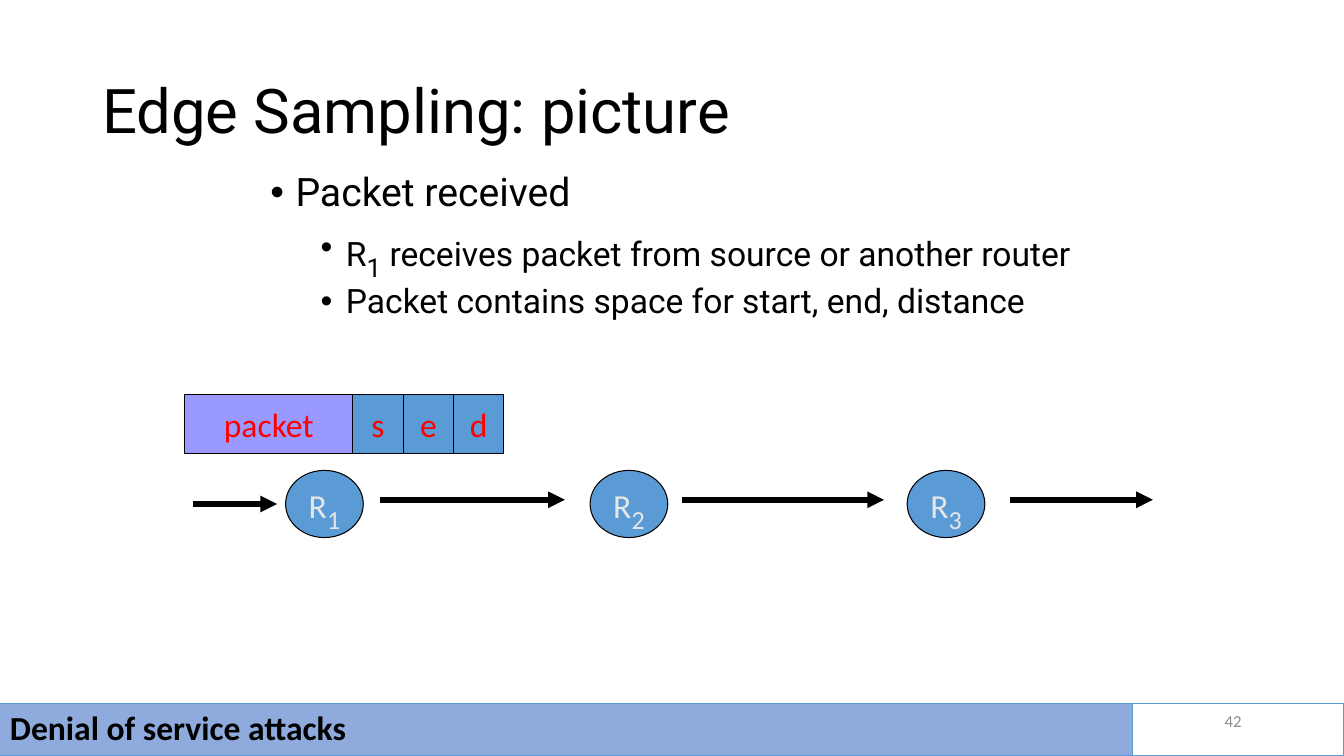
import pptx
import pptx.util
import pptx.dml.color
import pptx.enum.shapes
import pptx.enum.text
import pptx.oxml.ns
from lxml import etree

Pt = pptx.util.Pt
RGB = pptx.dml.color.RGBColor
SHAPE = pptx.enum.shapes.MSO_SHAPE
ALIGN = pptx.enum.text.PP_ALIGN
ANCHOR = pptx.enum.text.MSO_ANCHOR
qn = pptx.oxml.ns.qn

BLACK = RGB(0x00, 0x00, 0x00)
BLUE = RGB(0x5B, 0x9B, 0xD5)
LILAC = RGB(0x99, 0x99, 0xFF)
FOOTER_BLUE = RGB(0x8F, 0xAA, 0xDC)
RED = RGB(0xFF, 0x00, 0x00)
PALE = RGB(0xE7, 0xE6, 0xE6)
GREY = RGB(0x8C, 0x8C, 0x8C)

# Content: a paragraph is a list of (text, is subscript) runs
TITLE = [("Edge Sampling: picture", False)]
POINTS = [  # level, size, runs
    (0, 28, [("Packet received", False)]),
    (1, 24, [("R", False), ("1", True),
             (" receives packet from source or another router", False)]),
    (1, 24, [("Packet contains space for start, end, distance", False)]),
]
PACKET_FIELDS = [("packet", 120, LILAC), ("s", 36, BLUE), ("e", 36, BLUE), ("d", 36, BLUE)]
ROUTERS = [("1", 204), ("2", 421.5), ("3", 648)]  # subscript, left
HOPS = [(138, 198, 360), (271.5, 403.5, 357), (487.5, 631.5, 357), (721.5, 823.5, 357)]
FOOTER = [("Denial of service attacks", False)]
PAGE = [("42", False)]

SLIDE_W, SLIDE_H = 960, 540
PACKET_LEFT, PACKET_TOP, PACKET_H = 132, 282, 42
ROUTER_TOP, ROUTER_W, ROUTER_H = 336, 55.5, 48
FOOTER_TOP, FOOTER_SPLIT = 502.5, 809
SUBSCRIPT_SIZE = 32

deck = pptx.Presentation()
deck.slide_width, deck.slide_height = Pt(SLIDE_W), Pt(SLIDE_H)
slide = deck.slides.add_slide(deck.slide_layouts[6])


def write(paragraph, runs, *, size, color=BLACK, font="Calibri", bold=False,
          align=ALIGN.LEFT, spacing=None, before=None, level=None):
    """Fill one paragraph; a level gives it a bullet and an indent."""
    paragraph.alignment = align
    if spacing:
        paragraph.line_spacing = spacing
    if before is not None:
        paragraph.space_before = Pt(before)
    if level is not None:
        paragraph.level = level
        props = paragraph._p.get_or_add_pPr()
        props.set("marL", str(Pt(18 + 36 * level)))
        props.set("indent", str(Pt(-18)))
        etree.SubElement(props, qn("a:buFont")).set("typeface", "Arial")
        etree.SubElement(props, qn("a:buChar")).set("char", "•")
    for text, subscript in runs:
        run = paragraph.add_run()
        run.text = text
        run.font.name = font
        run.font.size = Pt(SUBSCRIPT_SIZE if subscript else size)
        run.font.bold = bold
        run.font.color.rgb = color
        if subscript:
            run._r.get_or_add_rPr().set("baseline", "-25000")


def text_area(left, top, width, height, anchor):
    frame = slide.shapes.add_textbox(Pt(left), Pt(top), Pt(width), Pt(height)).text_frame
    frame.word_wrap = True
    frame.vertical_anchor = anchor
    return frame


def block(parent, kind, left, top, width, height, fill, line, wrap=False):
    shape = parent.add_shape(kind, Pt(left), Pt(top), Pt(width), Pt(height))
    shape.shadow.inherit = False
    if fill is None:
        shape.fill.background()
    else:
        shape.fill.solid()
        shape.fill.fore_color.rgb = fill
    shape.line.color.rgb = line
    shape.line.width = Pt(0.75)
    shape.text_frame.word_wrap = wrap
    shape.text_frame.vertical_anchor = ANCHOR.MIDDLE
    return shape.text_frame.paragraphs[0]


# Title and bullet points
title = text_area(66, 28.8, 828, 104.4, ANCHOR.MIDDLE)
write(title.paragraphs[0], TITLE, size=44, font="Roboto", spacing=0.9)

points = text_area(186, 120, 630, 150, ANCHOR.TOP)
for index, (level, size, runs) in enumerate(POINTS):
    paragraph = points.add_paragraph() if index else points.paragraphs[0]
    write(paragraph, runs, size=size, font="Roboto", spacing=0.9,
          before=5 if index else 0, level=level)

# Arrows between routers
for start, end, y in HOPS:
    hop = slide.shapes.add_connector(pptx.enum.shapes.MSO_CONNECTOR.STRAIGHT,
                                     Pt(start), Pt(y), Pt(end), Pt(y))
    hop.line.color.rgb = BLACK
    hop.line.width = Pt(4)
    etree.SubElement(hop.line._get_or_add_ln(), qn("a:tailEnd")).set("type", "triangle")
    etree.SubElement(hop._element.spPr, qn("a:effectLst"))

# Routers
for number, left in ROUTERS:
    label = block(slide.shapes, SHAPE.OVAL, left, ROUTER_TOP, ROUTER_W, ROUTER_H, BLUE, BLACK)
    write(label, [("R", False), (number, True)], size=24, color=PALE, align=ALIGN.CENTER)

# Packet with its start, end and distance fields
packet = slide.shapes.add_group_shape()
field_left = PACKET_LEFT
for name, width, fill in PACKET_FIELDS:
    label = block(packet.shapes, SHAPE.RECTANGLE, field_left, PACKET_TOP,
                  width, PACKET_H, fill, BLACK)
    write(label, [(name, False)], size=24, color=RED, align=ALIGN.CENTER)
    field_left += width

# Footer
page = text_area(678, 500.5, 216, 28.8, ANCHOR.MIDDLE)
write(page.paragraphs[0], PAGE, size=12, color=GREY, align=ALIGN.RIGHT)
footer_h = SLIDE_H - FOOTER_TOP
footer = block(slide.shapes, SHAPE.RECTANGLE, 0, FOOTER_TOP, FOOTER_SPLIT, footer_h,
               FOOTER_BLUE, BLUE, wrap=True)
write(footer, FOOTER, size=24, bold=True, spacing=0.9)
block(slide.shapes, SHAPE.RECTANGLE, FOOTER_SPLIT, FOOTER_TOP,
      SLIDE_W - FOOTER_SPLIT, footer_h, None, BLUE)

deck.save("out.pptx")
